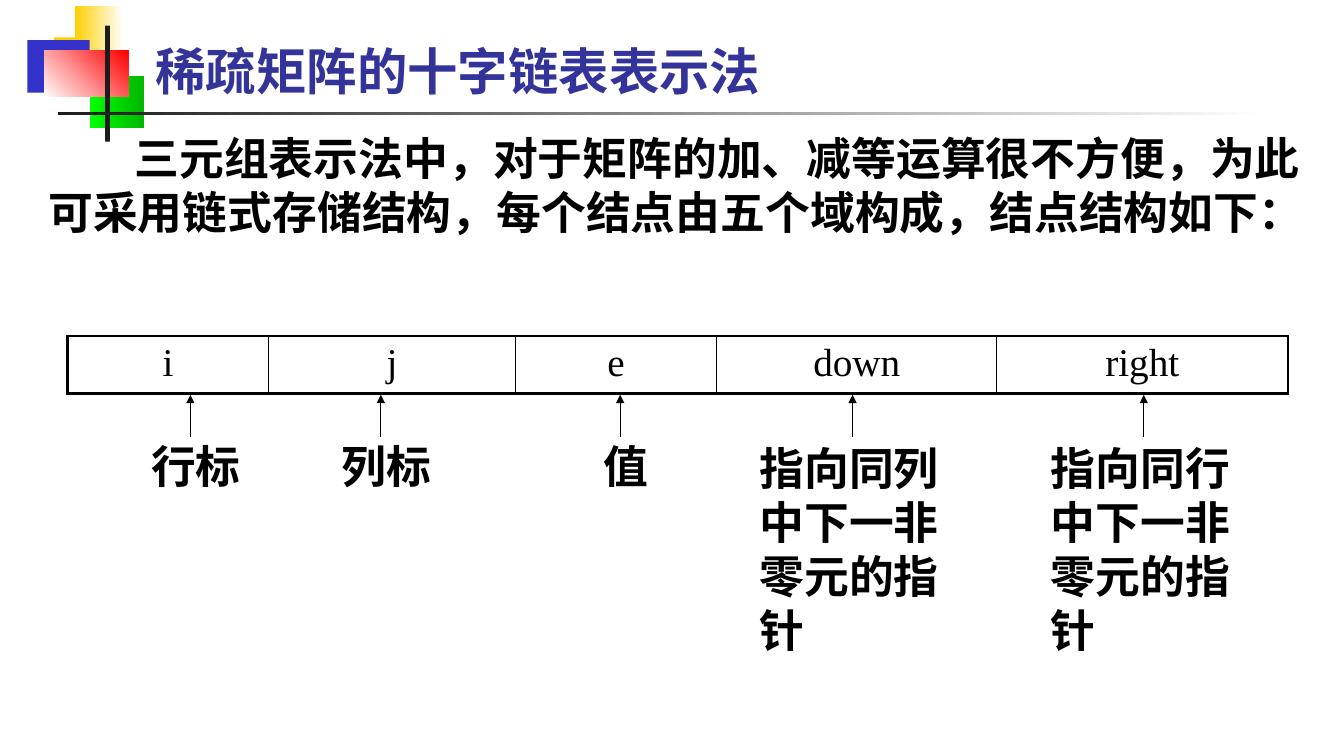
from lxml import etree
from pptx import Presentation
from pptx.dml.color import RGBColor
from pptx.enum.shapes import MSO_CONNECTOR as Connector, MSO_SHAPE as Shape
from pptx.enum.text import MSO_ANCHOR as Anchor, PP_ALIGN as Align
from pptx.oxml.ns import qn
from pptx.util import Pt

BLACK, WHITE, DARK, TITLE_BLUE = "000000", "FFFFFF", "1C1C1C", "333399"
SERIF, NARROW = "Times New Roman", "Arial Narrow"
FIELDS = [("i", 144), ("j", 176), ("e", 144), ("down", 200), ("right", 208)]
LABELS = [
    ("行标", 88, 79, False),
    ("列标", 224, 79, False),
    ("值", 395, 47, False),
    ("指向同列中下一非零元的指针", 561, 152, True),
    ("指向同行中下一非零元的指针", 769, 152, True),
]
LOGO_BLOCKS = [
    (19, 22.5, 46, 37.5, ["FFCF01"], 0),
    (34, 0, 34.5, 37.5, ["FFCF01", WHITE], 0),
    (0, 24.5, 44.5, 37.5, ["3333CC"], 0),
    (45, 50, 38.5, 37.5, ["00FF00", "00B600"], 0),
    (12, 32, 60, 33, [WHITE, "FF0000"], 45),
    (55.5, 14, 3.5, 83, [DARK], 0),
    (22, 75.75, 864, 2.5, [DARK, WHITE], 0),
]


def color(hex_text):
    """Turn a hex string into a colour."""
    return RGBColor.from_string(hex_text)


def format_text(frame, text, size=32, font=NARROW, ink=BLACK, bold=True,
                align=Align.LEFT, wrap=True):
    """Write one formatted paragraph into a text frame and return it."""
    frame.word_wrap = wrap
    frame.vertical_anchor = Anchor.TOP
    para = frame.paragraphs[0]
    para.alignment = align
    span = para.add_run()
    span.text = text
    span.font.size = Pt(size)
    span.font.name = font
    span.font.bold = bold
    span.font.color.rgb = color(ink)
    return para


def add_text(page, box, text, **style):
    """Place a text box and return its paragraph."""
    frame = page.shapes.add_textbox(*map(Pt, box)).text_frame
    return format_text(frame, text, **style)


def add_block(page, box, colors, angle):
    """Draw a borderless rectangle with a plain or two-colour fill."""
    block = page.shapes.add_shape(Shape.RECTANGLE, *map(Pt, box))
    block.shadow.inherit = False
    block.line.fill.background()
    if len(colors) == 1:
        block.fill.solid()
        block.fill.fore_color.rgb = color(colors[0])
        return
    block.fill.gradient()
    block.fill.gradient_angle = angle
    for stop, hex_text in zip(block.fill.gradient_stops, colors):
        stop.color.rgb = color(hex_text)


def add_decoration(page, left, top):
    """Draw the overlapping blocks and the rules beside the title."""
    for x, y, width, height, colors, angle in LOGO_BLOCKS:
        add_block(page, (left + x, top + y, width, height), colors, angle)


def add_intro(page, left, top, width, height):
    """Write the introduction with an indented first line."""
    para = add_text(page, (left, top, width, height),
                    "三元组表示法中，对于矩阵的加、减等运算很不方便，为此"
                    "可采用链式存储结构，每个结点由五个域构成，结点结构如下：")
    props = para._p.get_or_add_pPr()
    props.set("marL", str(Pt(27.5)))
    props.set("indent", str(Pt(61.5)))


def set_borders(cell, widths):
    """Insert black left, right, top and bottom borders before the cell fill."""
    props = cell._tc.get_or_add_tcPr()
    for index, (side, width) in enumerate(zip("LRTB", widths)):
        line = etree.Element(qn(f"a:ln{side}"), w=str(Pt(width)))
        fill = etree.SubElement(line, qn("a:solidFill"))
        etree.SubElement(fill, qn("a:srgbClr"), val=BLACK)
        props.insert(index, line)


def add_node_table(page, left, top, height):
    """Build the one-row table of node fields."""
    total = sum(width for _, width in FIELDS)
    table = page.shapes.add_table(1, len(FIELDS), Pt(left), Pt(top),
                                  Pt(total), Pt(height)).table
    table.first_row = table.horz_banding = False
    table.rows[0].height = Pt(height)
    last = len(FIELDS) - 1
    for index, (name, width) in enumerate(FIELDS):
        table.columns[index].width = Pt(width)
        cell = table.cell(0, index)
        cell.margin_left = cell.margin_right = Pt(9.6)
        cell.margin_top = cell.margin_bottom = Pt(3.6)
        cell.vertical_anchor = Anchor.TOP
        cell.fill.solid()
        cell.fill.fore_color.rgb = color(WHITE)
        format_text(cell.text_frame, name, size=28, font=SERIF, bold=False,
                    align=Align.CENTER)
        set_borders(cell, (2.25 if index == 0 else 1,
                           2.25 if index == last else 1, 2.25, 2.25))


def add_arrow(page, x, bottom, top):
    """Draw a thin upward arrow."""
    arrow = page.shapes.add_connector(Connector.STRAIGHT, Pt(x), Pt(bottom),
                                      Pt(x), Pt(top))
    arrow.line.color.rgb = color(BLACK)
    arrow.line.width = Pt(0.75)
    etree.SubElement(arrow.line._get_or_add_ln(), qn("a:tailEnd"),
                     type="triangle")
    etree.SubElement(arrow._element.spPr, qn("a:effectLst"))


def add_labels(page, left, top):
    """Explain each node field with an arrow and a label below it."""
    for text, x, width, is_long in LABELS:
        center = left + x + (2.5 if is_long else 4)
        box = (center - width / 2, top + (29.5 if is_long else 27.5),
               width, 163 if is_long else 46)
        add_text(page, box, text, font=SERIF, wrap=is_long,
                 align=Align.LEFT if is_long else Align.CENTER)
        add_arrow(page, left + x, top + 30.5, top)


def main():
    """Build and save the slide."""
    deck = Presentation()
    deck.slide_width, deck.slide_height = Pt(960), Pt(540)
    page = deck.slides.add_slide(deck.slide_layouts[6])
    add_decoration(page, 19.5, 4.25)
    add_text(page, (104, 25, 816, 66), "稀疏矩阵的十字链表表示法",
             size=36, ink=TITLE_BLUE)
    add_intro(page, 0, 90, 942, 132)
    add_node_table(page, 48, 240, 41)
    add_labels(page, 48, 282)
    deck.save("out.pptx")


if __name__ == "__main__":
    main()
